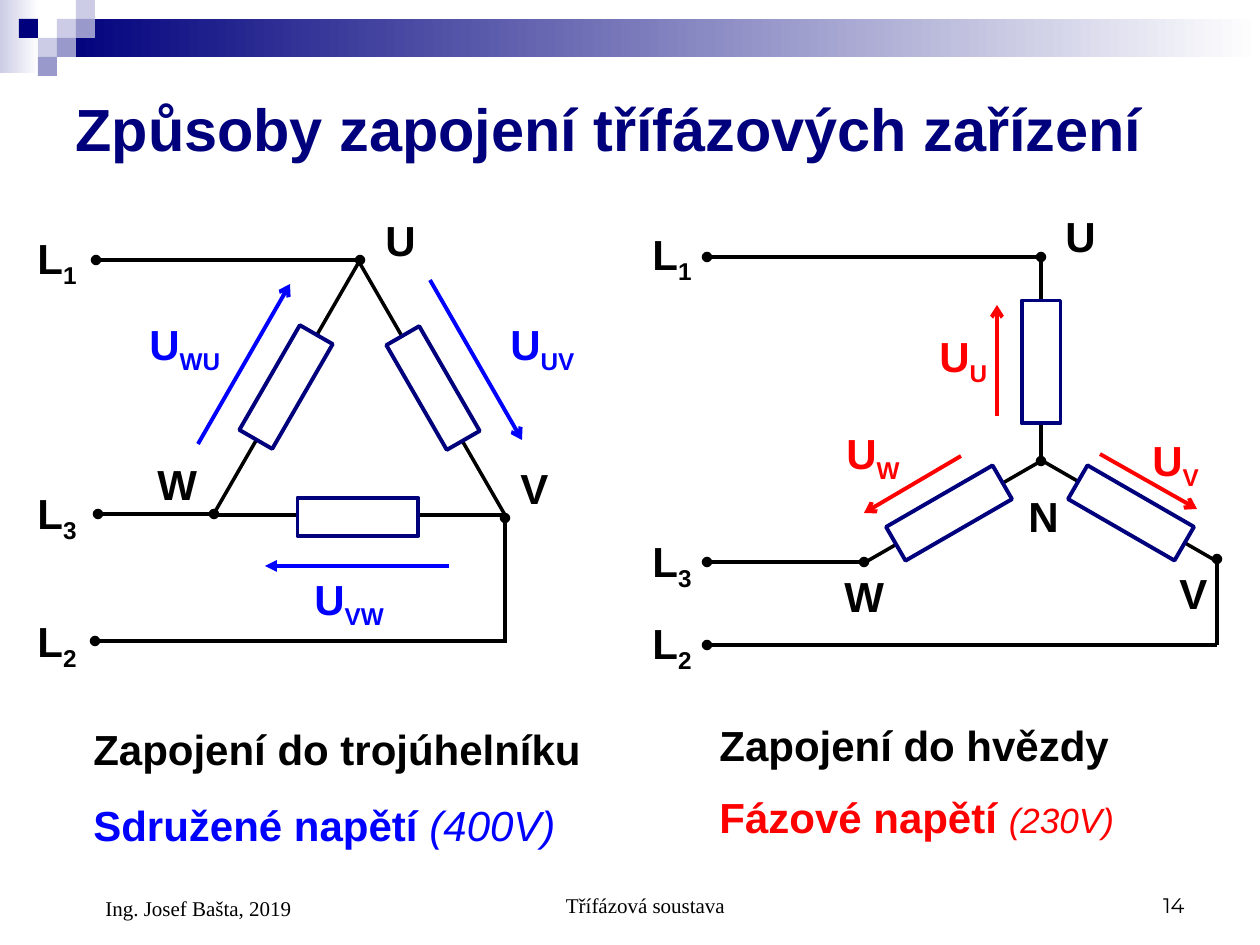
from pptx import Presentation
from pptx import util as u
from pptx.dml.color import RGBColor
from pptx.enum import shapes, text
from pptx.oxml.ns import qn
from lxml import etree

SCALE = 914400 / 126
BLACK, NAVY, BLUE, RED, WHITE = "000000", "00007D", "0000FF", "FF0000", "FFFFFF"
PALE, MID = "CCCCE6", "9999CC"
CELL = 19


def px(n):
    return u.Emu(round(n * SCALE))


def tint(code):
    return RGBColor.from_string(code)


def style(run, size, color, bold=True, italic=False, face="Arial"):
    font = run.font
    font.size, font.name = u.Pt(size), face
    font.bold, font.italic = bold, italic
    font.color.rgb = tint(color)


def box(slide, x, y, w, h):
    shape = slide.shapes.add_textbox(px(x), px(y), px(w), px(h))
    shape.text_frame.word_wrap = True
    return shape.text_frame


def block(slide, x, y, w, h, fill, edge=None, turn=0):
    shape = slide.shapes.add_shape(shapes.MSO_SHAPE.RECTANGLE, px(x), px(y), px(w), px(h))
    shape.shadow.inherit = False
    shape.rotation = turn
    if isinstance(fill, tuple):
        shape.fill.gradient()
        shape.fill.gradient_angle = 0
        for stop, color in zip(shape.fill.gradient_stops, fill):
            stop.color.rgb = tint(color)
    else:
        shape.fill.solid()
        shape.fill.fore_color.rgb = tint(fill)
    if edge:
        shape.line.color.rgb = tint(edge)
        shape.line.width = u.Pt(2.25)
    else:
        shape.line.fill.background()


def load(slide, x, y, w, h, turn):
    block(slide, x - w / 2, y - h / 2, w, h, WHITE, NAVY, turn)


def wire(slide, ends, head=None, tail=None, color=BLACK, width=2):
    link = slide.shapes.add_connector(shapes.MSO_CONNECTOR.STRAIGHT, *map(px, ends))
    link.line.color.rgb = tint(color)
    link.line.width = u.Pt(width)
    ln = link.line._get_or_add_ln()
    for tag, kind in (("a:headEnd", head), ("a:tailEnd", tail)):
        if kind:
            etree.SubElement(ln, qn(tag)).set("type", kind)
    etree.SubElement(link._element.spPr, qn("a:effectLst"))


def label(slide, x, y, w, name, sub="", color=BLACK):
    frame = box(slide, x, y, w, 71 if sub else 63)
    frame.text = name
    par = frame.paragraphs[0]
    if sub:
        low = par.add_run()
        low.text = sub
        low._r.get_or_add_rPr().set("baseline", "-25000")
    for run in par.runs:
        style(run, 24, color)


def caption(slide, x, y, w, head, kind, volts, color, size, gap):
    frame = box(slide, x, y, w, 138)
    frame.text = head
    style(frame.paragraphs[0].runs[0], 24, BLACK)
    par = frame.add_paragraph()
    par.text = kind
    par.space_before = u.Pt(gap)
    style(par.runs[0], 24, color)
    note = par.add_run()
    note.text = volts
    style(note, size, color, bold=False, italic=True)


def footer(slide, x, w, h, words, align, face, indent=0):
    frame = box(slide, x, 861, w, h)
    frame.vertical_anchor = text.MSO_ANCHOR.BOTTOM
    frame.text = words
    par = frame.paragraphs[0]
    par.alignment = align
    par._p.get_or_add_pPr().set("marL", str(px(indent)))
    style(par.runs[0], 12, BLACK, bold=False, face=face)


def banner(slide):
    block(slide, 0, 0, 39, 73, (PALE, WHITE))
    block(slide, 57, CELL, 1203, 2 * CELL, (NAVY, WHITE))
    cells = [(3, 1, PALE), (4, 0, PALE), (4, 1, MID), (2, 2, PALE),
             (1, 1, NAVY), (3, 2, MID), (2, 3, MID)]
    for col, row, color in cells:
        block(slide, col * CELL, row * CELL, CELL, CELL, color)


def title(slide, words):
    shape = slide.shapes.title
    shape.left, shape.top, shape.width, shape.height = map(px, (63, 63, 1134, 130))
    frame = shape.text_frame
    frame.text = words
    frame.word_wrap = True
    frame.auto_size = text.MSO_AUTO_SIZE.NONE
    frame.vertical_anchor = text.MSO_ANCHOR.MIDDLE
    frame.paragraphs[0].alignment = text.PP_ALIGN.LEFT
    style(frame.paragraphs[0].runs[0], 34, NAVY)


def scheme(slide, wires, loads, size, arrows, color, labels):
    for ends, head, tail in wires:
        wire(slide, ends, head, tail)
    for x, y, turn in loads:
        load(slide, x, y, *size, turn)
    for ends, tip in arrows:
        wire(slide, ends, None, tip, color, 2.25)
    for item in labels:
        label(slide, *item)


def delta(slide):
    wires = [
        ((212, 515, 507, 515), None, None),
        ((505, 515, 358, 260), None, None),
        ((359, 262, 212, 517), None, None),
        ((96, 260, 360, 260), "oval", "oval"),
        ((98, 514, 214, 514), "oval", "oval"),
        ((95, 641, 507, 641), "oval", None),
        ((505, 518, 505, 643), "oval", None),
    ]
    loads = [(358, 517, 0), (433, 388, 240), (286, 387, 120)]
    arrows = [((449, 566, 265, 566), "triangle"),
              ((198, 444, 290, 284), "arrow"),
              ((430, 280, 522, 440), "arrow")]
    labels = [
        (373, 208, 58, "U"), (508, 456, 58, "V"), (145, 452, 71, "W"),
        (25, 226, 71, "L", "1"), (25, 609, 71, "L", "2"), (25, 481, 71, "L", "3"),
        (302, 567, 115, "U", "VW", BLUE), (498, 312, 115, "U", "UV", BLUE),
        (137, 312, 115, "U", "WU", BLUE),
    ]
    scheme(slide, wires, loads, (121, 38), arrows, BLUE, labels)


def star(slide):
    wires = [
        ((707, 257, 1041, 257), "oval", "oval"),
        ((707, 562, 864, 562), "oval", "oval"),
        ((707, 645, 1217, 645), "oval", None),
        ((1041, 258, 1041, 461), None, "oval"),
        ((1041, 460, 1218, 562), None, None),
        ((1041, 461, 864, 563), None, None),
        ((1217, 559, 1217, 645), "oval", None),
    ]
    loads = [(1041, 362, 90), (1131, 513, 30), (949, 513, 150)]
    arrows = [((997, 416, 997, 305), "arrow"),
              ((1100, 454, 1197, 509), "arrow"),
              ((961, 456, 864, 513), "arrow")]
    labels = [
        (1053, 204, 60, "U"), (1167, 561, 59, "V"), (832, 564, 72, "W"),
        (640, 222, 72, "L", "1"), (640, 611, 72, "L", "2"), (640, 529, 72, "L", "3"),
        (927, 324, 83, "U", "U", RED), (1140, 428, 82, "U", "V", RED),
        (834, 421, 96, "U", "W", RED), (1016, 484, 59, "N"),
    ]
    scheme(slide, wires, loads, (123, 39), arrows, RED, labels)


def main():
    deck = Presentation()
    deck.slide_width, deck.slide_height = px(1260), px(945)
    slide = deck.slides.add_slide(deck.slide_layouts[5])
    banner(slide)
    title(slide, "Způsoby zapojení třífázových zařízení")
    caption(slide, 81, 717, 517, "Zapojení do trojúhelníku",
            "Sdružené napětí ", "(400V)", BLUE, 24, 15)
    caption(slide, 707, 713, 450, "Zapojení do hvězdy",
            "Fázové napětí ", "(230V)", RED, 20, 12.5)
    delta(slide)
    star(slide)
    align = text.PP_ALIGN
    footer(slide, 431, 399, 63, "Třífázová soustava", align.CENTER, "Times New Roman", 30)
    footer(slide, 903, 294, 63, "14", align.RIGHT, "Montserrat")
    footer(slide, 63, 294, 66, "Ing. Josef Bašta, 2019", align.LEFT, "Times New Roman", 30)
    deck.save("out.pptx")


if __name__ == "__main__":
    main()
